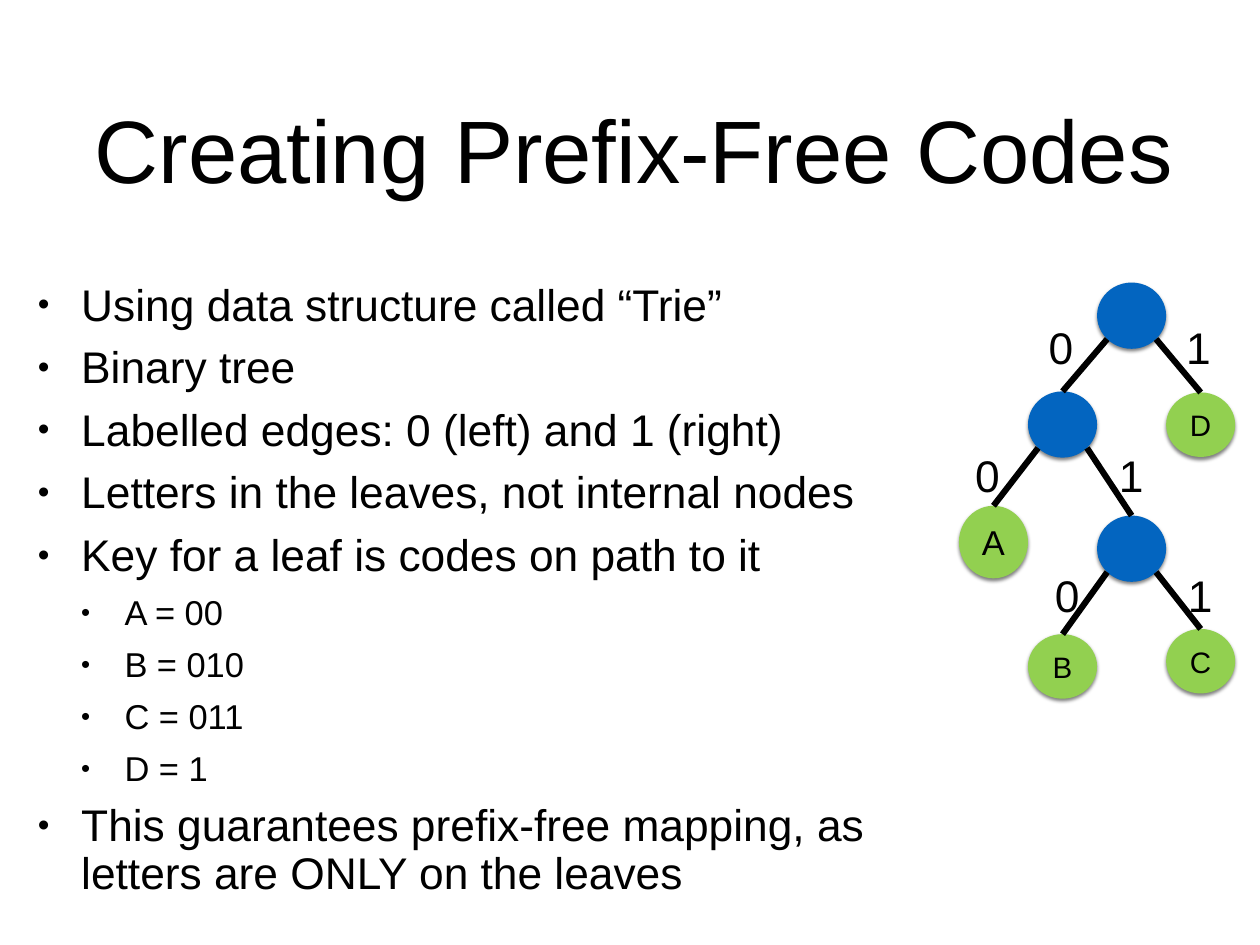
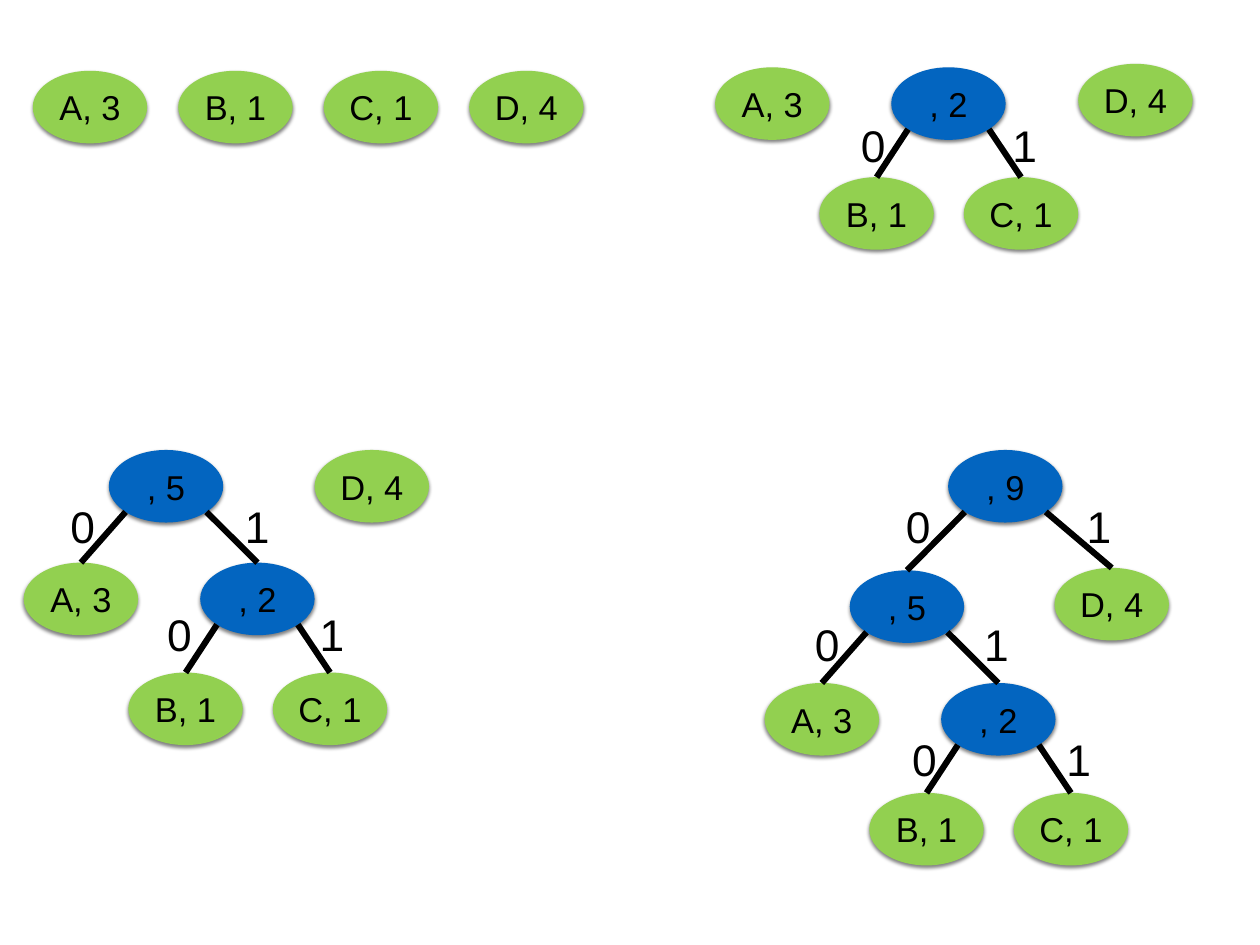
import math
from dataclasses import dataclass

import pptx
import pptx.dml.color
import pptx.enum.shapes
import pptx.enum.text
import pptx.oxml
import pptx.oxml.ns
import pptx.util
from pptx.util import Cm, Pt

# Shared style
COLOURS = {"text": "000000", "inner": "0365C0", "leaf": "92D050", "edge": "000000"}
FONT = "Arial"
INSET = 0.15
BULLET_INDENT = 1.24
ALIGN = pptx.enum.text.PP_ALIGN


@dataclass
class Node:
    """A tree node; each child is (node, shift right, shift down) in cm."""
    text: str
    children: tuple = ()
    width: float = 3.28
    height: float = 2.08
    size: int = 28


# Content of slide 1
TITLE = "Creating Prefix-Free Codes"
POINTS = [
    (0, "Using data structure called “Trie”"),
    (0, "Binary tree"),
    (0, "Labelled edges: 0 (left) and 1 (right)"),
    (0, "Letters in the leaves, not internal nodes"),
    (0, "Key for a leaf is codes on path to it"),
    (1, "A = 00"),
    (1, "B = 010"),
    (1, "C = 011"),
    (1, "D = 1"),
    (0, "This guarantees prefix-free mapping, as letters are ONLY on the leaves"),
]
POINT_SIZES = (36, 28)
TRIE_WIDTH = 1.98


def trie_leaf(letter, height=1.85, size=24):
    return Node(letter, (), TRIE_WIDTH, height, size)


def trie_fork(left, left_drop, right, right_drop):
    children = ((left, -TRIE_WIDTH, left_drop), (right, TRIE_WIDTH, right_drop))
    return Node("", children, TRIE_WIDTH, 1.9)


TRIE_BC = trie_fork(trie_leaf("B"), 3.4, trie_leaf("C"), 3.25)
TRIE_ABC = trie_fork(trie_leaf("A", 2.08, 28), 3.28, TRIE_BC, 3.56)
TRIE = trie_fork(TRIE_ABC, 3.12, trie_leaf("D"), 3.15)

# Content of slide 2: the trees grow from one stage to the next
A, B, C, D = (Node(text) for text in ("A, 3", "B, 1", "C, 1", "D, 4"))
BC = Node(", 2", ((B, -2.06, 3.15), (C, 2.08, 3.15)))
ABC = Node(", 5", ((A, -2.44, 3.23), (BC, 2.62, 3.23)))
ABCD = Node(", 9", ((ABC, -2.82, 3.45), (D, 3.05, 3.38)))

# Roots as (node, left, top); bits as (left of 0, left of 1, top)
TRIE_ROOTS = [(TRIE, 31.45, 8.1)]
TRIE_BITS = [(29.92, 33.86, 9.04), (27.81, 31.93, 12.7), (30.1, 33.91, 16.15)]
STAGE_ROOTS = [(leaf, 0.94 + 4.17 * i, 2.03) for i, leaf in enumerate((A, B, C, D))] + [
    (A, 20.5, 1.93), (BC, 25.55, 1.93), (D, 30.91, 1.83),
    (ABC, 3.12, 12.9), (D, 9.02, 12.9),
    (ABCD, 27.18, 12.9),
]
STAGE_BITS = [
    (24.54, 28.88, 3.23),
    (1.88, 6.88, 14.15), (4.65, 9.02, 17.25),
    (25.83, 31.01, 14.15), (23.22, 28.07, 17.53), (26.01, 30.43, 20.83),
]


def colour(name):
    return pptx.dml.color.RGBColor.from_string(COLOURS[name])


def prepare_frame(frame, wrap=True):
    frame.word_wrap = wrap
    frame.auto_size = pptx.enum.text.MSO_AUTO_SIZE.NONE
    frame.vertical_anchor = pptx.enum.text.MSO_ANCHOR.MIDDLE
    frame.margin_left = frame.margin_right = Cm(INSET)
    frame.margin_top = frame.margin_bottom = Cm(INSET)


def add_span(para, text, size, align=ALIGN.CENTER):
    para.alignment = align
    span = para.add_run()
    span.text = text
    span.font.size = Pt(size)
    span.font.name = FONT
    span.font.color.rgb = colour("text")


def add_child(parent, tag, **attributes):
    child = pptx.oxml.parse_xml(f'<{tag} {pptx.oxml.ns.nsdecls("a")}/>')
    for name, value in attributes.items():
        child.set(name, str(value))
    parent.append(child)
    return child


# Title and bullets
def add_title(slide, text):
    title = slide.shapes.title
    title.left, title.top, title.width, title.height = Cm(0.94), Cm(1.24), Cm(34.47), Cm(6)
    prepare_frame(title.text_frame)
    add_span(title.text_frame.paragraphs[0], text, 72)


def add_points(slide, points):
    box = slide.shapes.add_textbox(Cm(0.94), Cm(7.42), Cm(26.37), Cm(19.05))
    frame = box.text_frame
    prepare_frame(frame)
    for i, (level, text) in enumerate(points):
        para = frame.add_paragraph() if i else frame.paragraphs[0]
        para.level = level
        para.line_spacing = 0.9
        para.space_before = Pt(12)
        add_span(para, text, POINT_SIZES[level], ALIGN.LEFT)
        properties = para._p.get_or_add_pPr()
        properties.set("marL", str(Cm(BULLET_INDENT * (level + 1))))
        properties.set("indent", str(-Cm(BULLET_INDENT)))
        add_child(properties, "a:buSzPct", val=75000)
        add_child(properties, "a:buFont", typeface=FONT)
        add_child(properties, "a:buChar", char="•")


# Trees
def add_shadow(shape):
    shape.shadow.inherit = False
    effects = shape.element.spPr.find(pptx.oxml.ns.qn("a:effectLst"))
    shadow = add_child(effects, "a:outerShdw", blurRad=Pt(3), dist=Pt(2),
                       dir=5400000, rotWithShape=0)
    tone = add_child(shadow, "a:srgbClr", val="000000")
    add_child(tone, "a:alpha", val=50000)


def add_edge(slide, start_x, start_y, child):
    edge = slide.shapes.add_connector(
        pptx.enum.shapes.MSO_CONNECTOR.STRAIGHT,
        Cm(start_x), Cm(start_y), child.left, child.top)
    edge.end_connect(child, 0)
    edge.line.color.rgb = colour("edge")
    edge.line.width = Pt(5)
    add_child(edge.element.spPr, "a:effectLst")


def add_tree(slide, node, left, top):
    oval = slide.shapes.add_shape(
        pptx.enum.shapes.MSO_SHAPE.OVAL,
        Cm(left), Cm(top), Cm(node.width), Cm(node.height))
    oval.fill.solid()
    oval.fill.fore_color.rgb = colour("inner" if node.children else "leaf")
    oval.line.fill.background()
    add_shadow(oval)
    prepare_frame(oval.text_frame)
    if node.text:
        add_span(oval.text_frame.paragraphs[0], node.text, node.size)

    # Edges leave the oval at 45 degrees, left and right of its foot
    reach = math.sqrt(0.5)
    start_y = top + node.height / 2 * (1 + reach)
    for side, (child, right, down) in zip((-1, 1), node.children):
        child_oval = add_tree(slide, child, left + right, top + down)
        add_edge(slide, left + node.width / 2 * (1 + side * reach), start_y, child_oval)
    return oval


def add_forest(slide, roots, bits):
    for root in roots:
        add_tree(slide, *root)
    for *lefts, top in bits:
        for bit, left in zip("01", lefts):
            box = slide.shapes.add_textbox(Cm(left), Cm(top), Cm(0.99), Cm(1.83))
            prepare_frame(box.text_frame, wrap=False)
            add_span(box.text_frame.paragraphs[0], bit, 36)


def main():
    deck = pptx.Presentation()
    deck.slide_width, deck.slide_height = Cm(36.12), Cm(27.09)
    title_only, blank = deck.slide_layouts[5], deck.slide_layouts[6]

    page = deck.slides.add_slide(title_only)
    add_title(page, TITLE)
    add_points(page, POINTS)
    add_forest(page, TRIE_ROOTS, TRIE_BITS)

    page = deck.slides.add_slide(blank)
    add_forest(page, STAGE_ROOTS, STAGE_BITS)

    deck.save("out.pptx")


if __name__ == "__main__":
    main()
